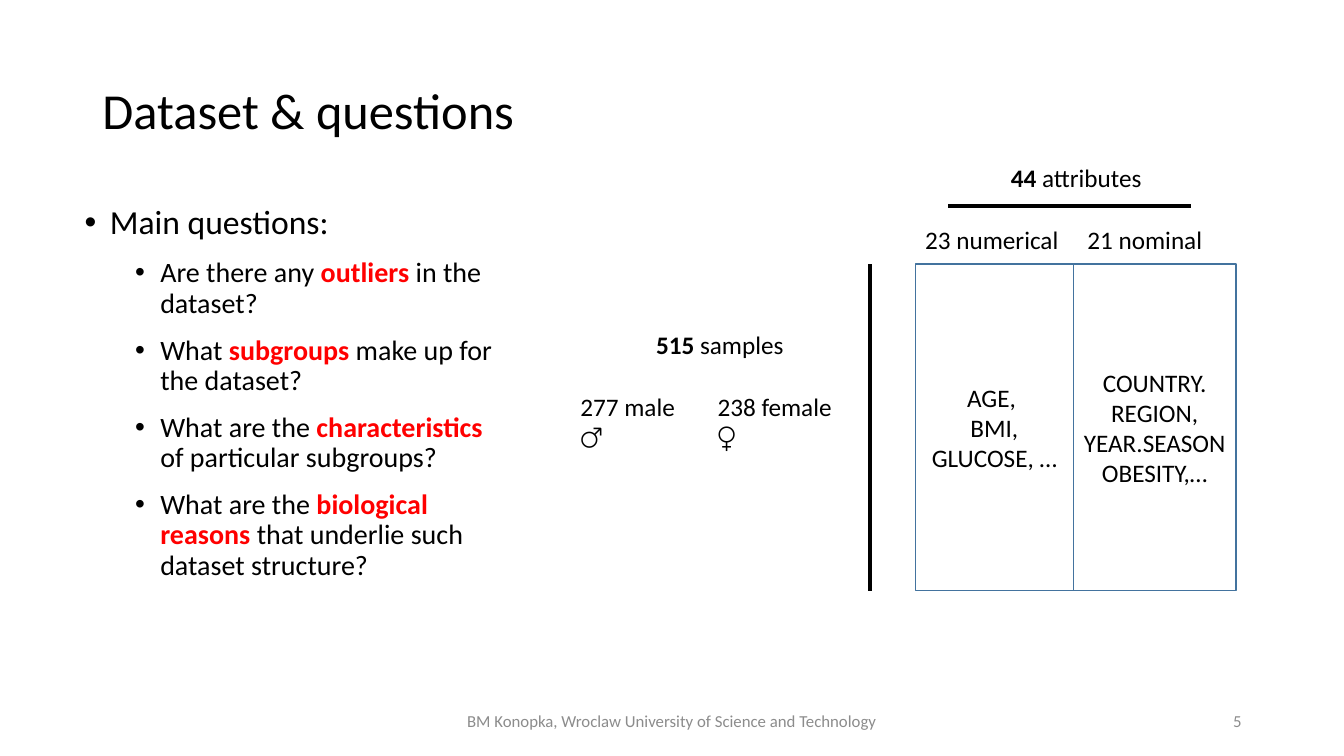
from dataclasses import dataclass

import lxml.etree
import pptx
import pptx.dml.color
import pptx.enum.shapes
import pptx.enum.text
import pptx.oxml.ns
import pptx.util

Pt = pptx.util.Pt
ALIGN = pptx.enum.text.PP_ALIGN
ANCHOR = pptx.enum.text.MSO_ANCHOR


@dataclass(frozen=True)
class Theme:
    font: str = "Calibri"
    ink: str = "000000"
    accent: str = "FF0000"
    muted: str = "8C8C8C"
    outline: str = "43739E"
    title_size: float = 36
    lead_size: float = 24
    question_size: float = 20
    label_size: float = 18
    footer_size: float = 12


THEME = Theme()


def rgb(code):
    return pptx.dml.color.RGBColor.from_string(code)


def write(paragraph, text, size=THEME.label_size, color=THEME.ink,
          strong_color=THEME.ink, align=ALIGN.LEFT):
    """Fill a paragraph; parts between double asterisks become bold."""
    paragraph.alignment = align
    for part_index, part in enumerate(text.split("**")):
        strong = part_index % 2 == 1
        for line_index, line in enumerate(part.split("\n")):
            if line_index:
                paragraph.add_line_break()
            if line:
                run = paragraph.add_run()
                run.text = line
                run.font.name = THEME.font
                run.font.size = Pt(size)
                run.font.bold = strong
                run.font.color.rgb = rgb(strong_color if strong else color)


def add_bullet(paragraph, left):
    properties = paragraph._p.get_or_add_pPr()
    properties.set("marL", str(Pt(left)))
    properties.set("indent", str(-Pt(18)))
    tag = pptx.oxml.ns.qn("a:buChar")
    lxml.etree.SubElement(properties, tag).set("char", "•")


class SlideBuilder:
    def __init__(self, slide, theme):
        self.slide = slide
        self.theme = theme

    def place(self, shape, left, top, width, height):
        shape.left, shape.top = Pt(left), Pt(top)
        shape.width, shape.height = Pt(width), Pt(height)

    def title(self, text, *box):
        heading = self.slide.shapes.title
        self.place(heading, *box)
        frame = heading.text_frame
        frame.vertical_anchor = ANCHOR.MIDDLE
        frame.auto_size = pptx.enum.text.MSO_AUTO_SIZE.NONE
        frame.paragraphs[0].line_spacing = 0.9
        write(frame.paragraphs[0], text, size=self.theme.title_size)

    def question_list(self, lead, questions, *box):
        body = self.slide.placeholders[1]
        self.place(body, *box)
        frame = body.text_frame
        frame.auto_size = pptx.enum.text.MSO_AUTO_SIZE.NONE
        for index, text in enumerate([lead, *questions]):
            paragraph = frame.add_paragraph() if index else frame.paragraphs[0]
            paragraph.level = 1 if index else 0
            paragraph.line_spacing = 0.9
            paragraph.space_before = Pt(12 if index else 0)
            add_bullet(paragraph, 54 if index else 18)
            size = self.theme.question_size if index else self.theme.lead_size
            write(paragraph, text, size=size, strong_color=self.theme.accent)

    def label(self, text, *box, anchor=ANCHOR.TOP, **text_format):
        label = self.slide.shapes.add_textbox(*map(Pt, box))
        label.text_frame.word_wrap = True
        label.text_frame.vertical_anchor = anchor
        write(label.text_frame.paragraphs[0], text, **text_format)

    def footer(self, text, *box, align):
        self.label(text, *box, anchor=ANCHOR.MIDDLE, align=align,
                   size=self.theme.footer_size, color=self.theme.muted)

    def block(self, text, *box):
        block = self.slide.shapes.add_shape(
            pptx.enum.shapes.MSO_SHAPE.RECTANGLE, *map(Pt, box))
        block.shadow.inherit = False
        block.fill.background()
        block.line.color.rgb = rgb(self.theme.outline)
        block.line.width = Pt(1)
        block.text_frame.word_wrap = True
        block.text_frame.vertical_anchor = ANCHOR.MIDDLE
        write(block.text_frame.paragraphs[0], text, align=ALIGN.CENTER)

    def rule(self, *ends):
        rule = self.slide.shapes.add_connector(
            pptx.enum.shapes.MSO_CONNECTOR.STRAIGHT, *map(Pt, ends))
        rule.line.color.rgb = rgb(self.theme.ink)
        rule.line.width = Pt(3)
        lxml.etree.SubElement(rule._element.spPr,
                              pptx.oxml.ns.qn("a:effectLst"))


def main():
    presentation = pptx.Presentation()
    presentation.slide_width = Pt(960)
    presentation.slide_height = Pt(540)
    slide = presentation.slides.add_slide(presentation.slide_layouts[1])
    builder = SlideBuilder(slide, THEME)

    builder.title("Dataset & questions", 66, 28.75, 828, 104.4)
    questions = [
        "Are there any **outliers** in the dataset?",
        "What **subgroups** make up for the dataset?",
        "What are the **characteristics** of particular subgroups?",
        "What are the **biological reasons** that underlie such "
        "dataset structure?",
    ]
    builder.question_list("Main questions:", questions, 53.3, 143.3, 311, 323.3)

    builder.footer("BM Konopka, Wroclaw University of Science and Technology",
                   318, 500.5, 324, 28.75, align=ALIGN.CENTER)
    builder.footer("5", 678, 500.5, 216, 28.75, align=ALIGN.RIGHT)

    matrix_top, matrix_height = 188.6, 233.3
    numerical_left, numerical_width = 653.8, 113
    nominal_left = numerical_left + numerical_width
    builder.block("COUNTRY.\nREGION, YEAR.SEASON OBESITY,…",
                  nominal_left, matrix_top, 116, matrix_height)
    builder.block("AGE, \nBMI, GLUCOSE, …",
                  numerical_left, matrix_top, numerical_width, matrix_height)

    builder.label("**44 **attributes", 715, 112.3, 123, 51)
    builder.label("23 numerical", numerical_left, 157, 124, 51)
    builder.label("21 nominal", 769.7, 157, 124, 51)
    builder.rule(677.5, 146.9, 851, 146.9)

    builder.label("**515 **samples", 461.5, 231.8, 110, 29)
    builder.rule(621.4, matrix_top, 621.4, matrix_top + matrix_height)
    builder.label("277 male ♂", 407.5, 275.8, 96, 29)
    builder.label("238 female ♀", 505.5, 275.8, 108, 29)

    presentation.save("out.pptx")


if __name__ == "__main__":
    main()
